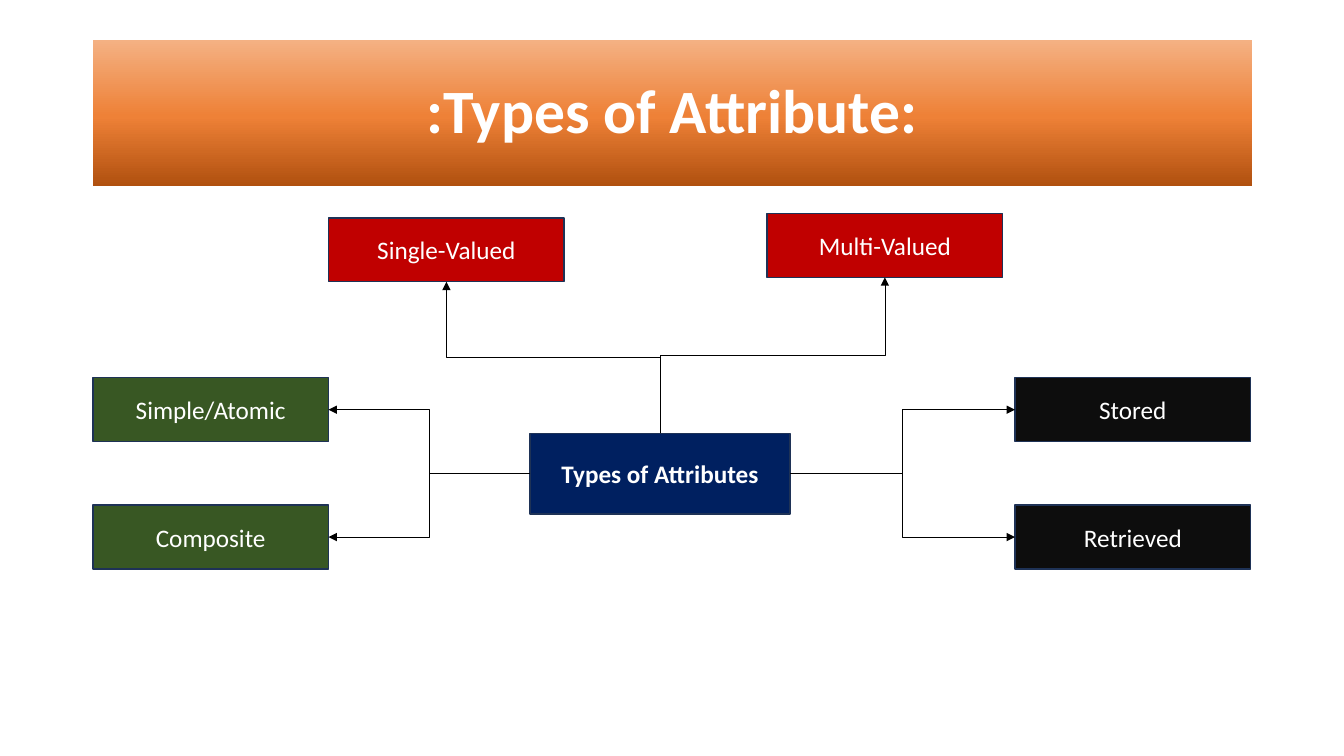
import copy
import pptx
import pptx.util
import pptx.dml.color
import pptx.enum.shapes
import pptx.enum.text
import pptx.oxml.ns
import pptx.oxml.xmlchemy

Cm = pptx.util.Cm
Pt = pptx.util.Pt
TOP, LEFT, BOTTOM, RIGHT = range(4)

COLORS = {
    "white": "FFFFFF", "black": "000000", "outline": "1E3256",
    "navy": "002060", "green": "385723", "red": "C00000", "ink": "0D0D0D",
    "rust": "B0500F", "orange": "EE8137", "peach": "F4B183",
}
TITLE = ":Types of Attribute:"
TITLE_AREA = (2.34, 1.02, 29.21, 3.68)
TITLE_STOPS = [(0, "rust"), (0.48, "orange"), (1, "peach")]
HUB = "Types of Attributes"
HUB_AREA = (13.36, 10.92, 6.55, 2.03)
KIND_SIZE = (5.94, 1.61)
LEFT_COLUMN, RIGHT_COLUMN = 2.34, 25.58
UPPER_ROW, LOWER_ROW = 9.52, 12.73
KINDS = [
    ("Simple/Atomic", LEFT_COLUMN, UPPER_ROW, "green", LEFT, RIGHT),
    ("Composite", LEFT_COLUMN, LOWER_ROW, "green", LEFT, RIGHT),
    ("Multi-Valued", 19.33, 5.38, "red", TOP, BOTTOM),
    ("Single-Valued", 8.28, 5.49, "red", TOP, BOTTOM),
    ("Stored", RIGHT_COLUMN, UPPER_ROW, "ink", RIGHT, LEFT),
    ("Retrieved", RIGHT_COLUMN, LOWER_ROW, "ink", RIGHT, LEFT),
]


def rgb(name):
    return pptx.dml.color.RGBColor.from_string(COLORS[name])


def add_box(page, text, area, size, bold=False):
    box = page.shapes.add_shape(
        pptx.enum.shapes.MSO_SHAPE.RECTANGLE, *[Cm(length) for length in area])
    box.shadow.inherit = False
    frame = box.text_frame
    frame.text = text
    frame.word_wrap = True
    frame.vertical_anchor = pptx.enum.text.MSO_ANCHOR.MIDDLE
    para = frame.paragraphs[0]
    para.alignment = pptx.enum.text.PP_ALIGN.CENTER
    font = para.runs[0].font
    font.name = "Calibri"
    font.size = Pt(size)
    font.bold = bold
    font.color.rgb = rgb("white")
    return box


def add_title(page):
    banner = add_box(page, TITLE, TITLE_AREA, 44, True)
    banner.text_frame.paragraphs[0].line_spacing = 0.9
    banner.line.fill.background()
    banner.fill.gradient()
    banner.fill.gradient_angle = 90
    stop_list = next(banner.element.iter(pptx.oxml.ns.qn("a:gsLst")))
    stop_list.append(copy.deepcopy(stop_list[0]))
    for stop, (position, color) in zip(banner.fill.gradient_stops, TITLE_STOPS):
        stop.position = position
        stop.color.rgb = rgb(color)


def add_node(page, text, area, color, bold=False):
    node = add_box(page, text, area, 18, bold)
    node.fill.solid()
    node.fill.fore_color.rgb = rgb(color)
    node.line.color.rgb = rgb("outline")
    node.line.width = Pt(1)
    return node


def turn_upright(arrow):
    run = arrow.end_x - arrow.begin_x
    rise = arrow.begin_y - arrow.end_y
    middle_x = (arrow.begin_x + arrow.end_x) // 2
    middle_y = (arrow.begin_y + arrow.end_y) // 2
    arrow.begin_x = middle_x - rise // 2
    arrow.end_x = middle_x + rise // 2
    arrow.begin_y = middle_y - run // 2
    arrow.end_y = middle_y + run // 2
    frame = arrow.element.spPr.find(pptx.oxml.ns.qn("a:xfrm"))
    frame.set("rot", str(270 * 60000))


def add_arrow(page, hub, kind, hub_side, kind_side):
    arrow = page.shapes.add_connector(
        pptx.enum.shapes.MSO_CONNECTOR.ELBOW, 0, 0, 0, 0)
    arrow.begin_connect(hub, hub_side)
    arrow.end_connect(kind, kind_side)
    if hub_side == TOP:
        turn_upright(arrow)
    arrow.line.color.rgb = rgb("black")
    arrow.line.width = Pt(0.5)
    properties = arrow.element.spPr
    line = properties.find(pptx.oxml.ns.qn("a:ln"))
    head = pptx.oxml.xmlchemy.OxmlElement("a:tailEnd")
    head.set("type", "triangle")
    line.append(head)
    properties.append(pptx.oxml.xmlchemy.OxmlElement("a:effectLst"))


def main():
    deck = pptx.Presentation()
    deck.slide_width, deck.slide_height = Cm(33.87), Cm(19.05)
    page = deck.slides.add_slide(deck.slide_layouts[6])
    add_title(page)
    hub = add_node(page, HUB, HUB_AREA, "navy", True)
    for text, left, top, color, hub_side, kind_side in KINDS:
        kind = add_node(page, text, (left, top, *KIND_SIZE), color)
        add_arrow(page, hub, kind, hub_side, kind_side)
    deck.save("out.pptx")


if __name__ == "__main__":
    main()
